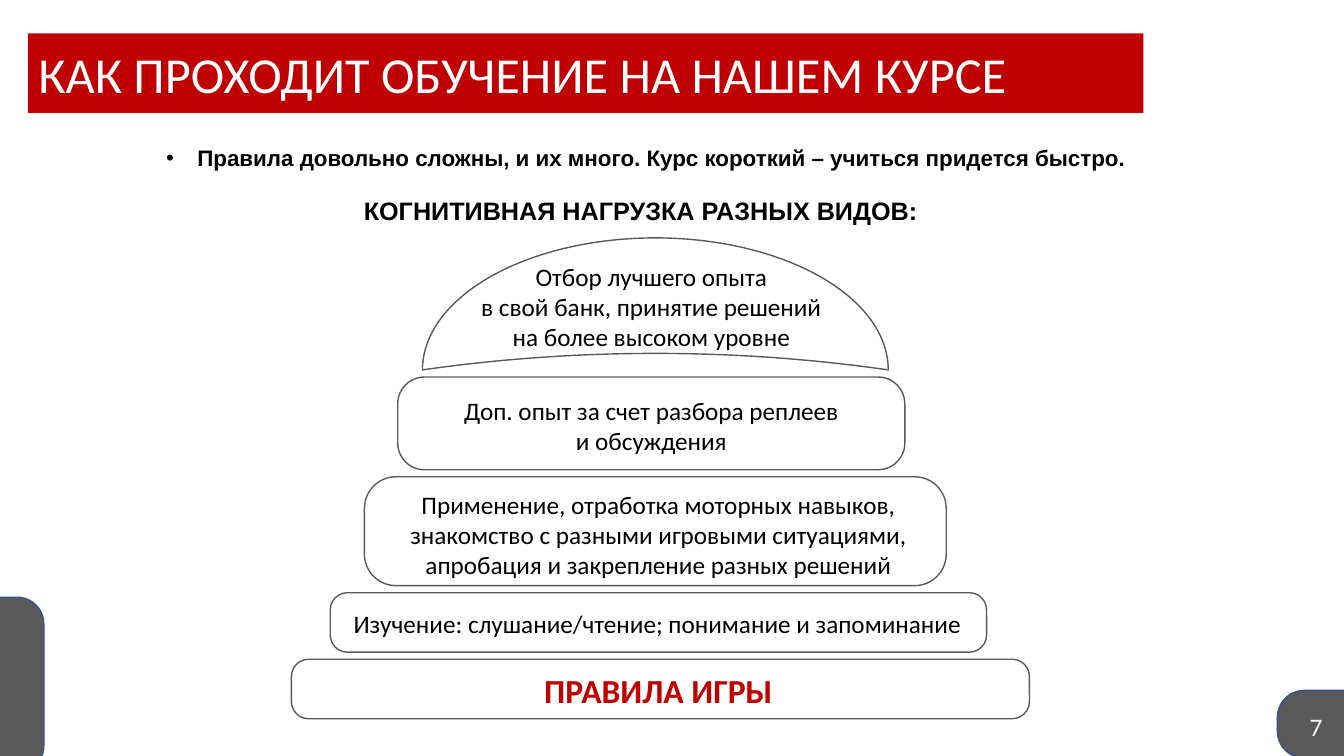
from lxml import etree
from pptx import Presentation
from pptx.dml.color import RGBColor
from pptx.enum import shapes, text
from pptx.oxml import ns
from pptx.util import Inches, Pt

# Content
TITLE = "КАК ПРОХОДИТ ОБУЧЕНИЕ НА НАШЕМ КУРСЕ"
INTRO = "Правила довольно сложны, и их много. Курс короткий – учиться придется быстро."
HEADING = "КОГНИТИВНАЯ НАГРУЗКА РАЗНЫХ ВИДОВ:"
PAGE = "7"
# Tiers from top to bottom: centre, width, height,
# text centre, text width, text offset from the tier's top, lines
TIERS = [
    (6.5, 4.62, 1.31, 6.46, 3.75, 0.18,
     ["Отбор лучшего опыта", "в свой банк, принятие решений на более высоком уровне"]),
    (6.46, 5.03, 0.92, 6.46, 4.62, 0.13,
     ["Доп. опыт за счет разбора реплеев", "и обсуждения"]),
    (6.5, 5.77, 1.08, 6.53, 5.63, 0.07,
     ["Применение, отработка моторных навыков, знакомство с разными игровыми "
      "ситуациями, апробация и закрепление разных решений"]),
    (6.53, 6.51, 0.59, 6.52, 6.42, 0.11,
     ["Изучение: слушание/чтение; понимание и запоминание"]),
    (6.55, 7.32, 0.59, 6.53, 7.32, 0.06, ["ПРАВИЛА ИГРЫ"]),
]
TIERS_TOP, TIER_GAP = 2.36, 0.07
CORNER_TABS = [(-0.77, 6.46, 270), (12.67, 6.85, 0)]  # left, top, rotation

RED = RGBColor(0xC0, 0x00, 0x00)
GREY = RGBColor(0x59, 0x59, 0x59)
BLUE = RGBColor(0x32, 0x54, 0x91)
WHITE = RGBColor(0xFF, 0xFF, 0xFF)
BLACK = RGBColor(0, 0, 0)
ROUND, MOON = shapes.MSO_SHAPE.ROUNDED_RECTANGLE, shapes.MSO_SHAPE.MOON
CENTER, LEFT = text.PP_ALIGN.CENTER, text.PP_ALIGN.LEFT

prs = Presentation()
prs.slide_width, prs.slide_height = Inches(13.33), Inches(7.5)
slide = prs.slides.add_slide(prs.slide_layouts[5])


def style(p, size, color, font="Calibri", bold=False, align=LEFT):
    p.alignment = align
    p.font.size, p.font.name, p.font.bold = Pt(size), font, bold
    p.font.color.rgb = color


def add_outline(kind, box, adj, line, fill=None, rotation=0):
    sp = slide.shapes.add_shape(kind, *map(Inches, box))
    sp.shadow.inherit = False
    sp.adjustments[0] = adj
    sp.rotation = rotation
    if fill is None:
        sp.fill.background()
    else:
        sp.fill.solid()
        sp.fill.fore_color.rgb = fill
    sp.line.color.rgb, sp.line.width = line, Pt(1)


def add_text(box, lines, *args, **kwargs):
    tf = slide.shapes.add_textbox(*map(Inches, box)).text_frame
    tf.word_wrap = True
    tf.text = "\n".join(lines)
    for p in tf.paragraphs:
        style(p, *args, **kwargs)
    return tf


# Title on a rounded red band
title = slide.shapes.title
title.left, title.top, title.width, title.height = map(Inches, (0.28, 0.33, 11.06, 0.79))
geom = etree.SubElement(title._element.spPr, ns.qn("a:prstGeom"), prst="roundRect")
etree.SubElement(geom, ns.qn("a:avLst"))
title.fill.solid()
title.fill.fore_color.rgb = RED
tf = title.text_frame
tf.text = TITLE
tf.auto_size = text.MSO_AUTO_SIZE.NONE
tf.vertical_anchor = text.MSO_ANCHOR.MIDDLE
style(tf.paragraphs[0], 36, WHITE)

# Corner tabs and page number
for left, top, rotation in CORNER_TABS:
    add_outline(ROUND, (left, top, 1.74, 0.67), 0.396, BLUE, GREY, rotation)
add_text((12.89, 7.01, 0.32, 0.4), [PAGE], 18, WHITE)

# Introductory bullet and heading
p = add_text((1.55, 1.38, 10.24, 0.37), [INTRO], 16, BLACK, "Arial", True).paragraphs[0]
pPr = p._p.get_or_add_pPr()
pPr.set("marL", str(Inches(0.31)))
pPr.set("indent", str(-Inches(0.31)))
bullet = etree.Element(ns.qn("a:buChar"), char="•")
pPr.insert(0, bullet)
bullet.addprevious(etree.Element(ns.qn("a:buFont"), typeface="Arial"))
add_text((1.55, 1.89, 9.61, 0.4), [HEADING], 18, BLACK, "Arial", True, CENTER)

# Pyramid: a dome on top, rounded tiers below
top = TIERS_TOP
for i, (mid, width, height, text_mid, text_width, offset, lines) in enumerate(TIERS):
    if i == 0:  # the moon stands upright before it is turned
        box = (mid - height / 2, top + height / 2 - width / 2, height, width)
        add_outline(MOON, box, 0.875, GREY, rotation=90)
    else:
        add_outline(ROUND, (mid - width / 2, top, width, height), 0.289, GREY)
    is_base = i == len(TIERS) - 1
    add_text((text_mid - text_width / 2, top + offset, text_width, height - offset), lines,
             24 if is_base else 18, RED if is_base else BLACK, bold=is_base, align=CENTER)
    top += height + TIER_GAP

prs.save("out.pptx")
